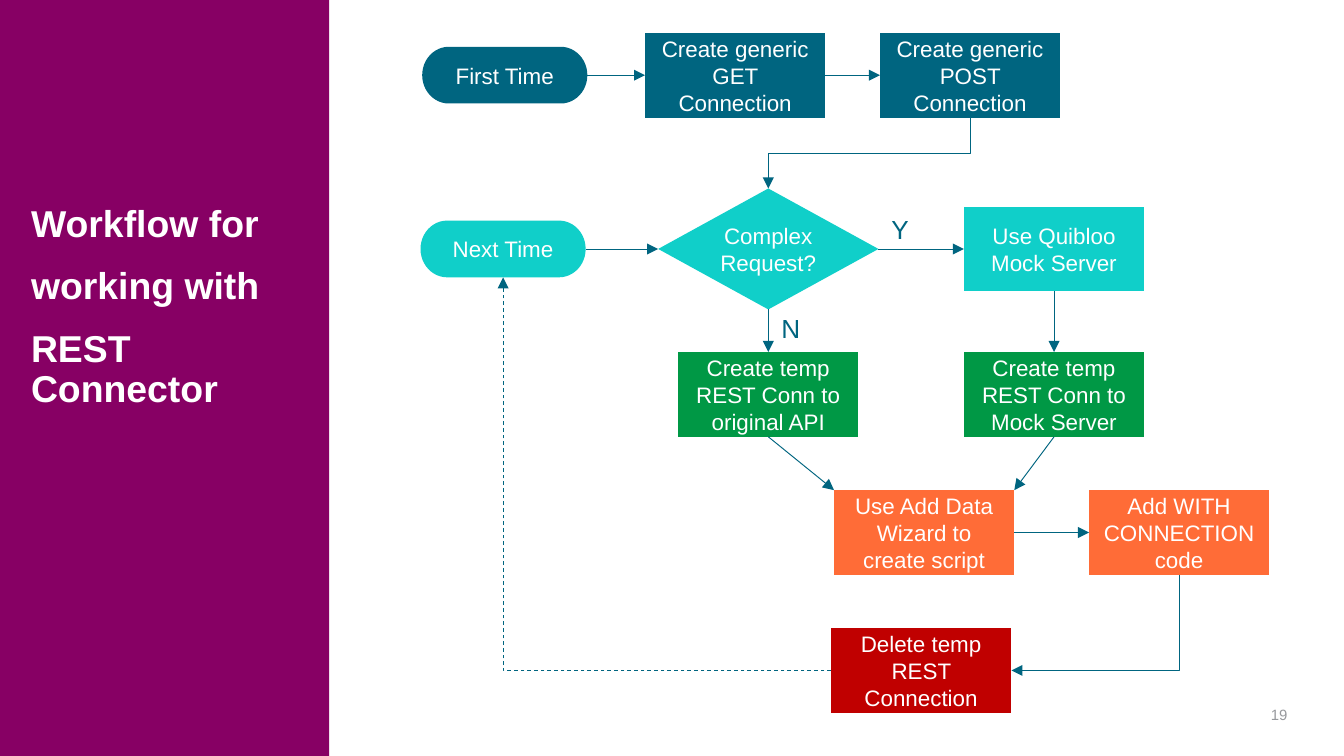
import pptx
import pptx.dml.color
import pptx.enum.dml
import pptx.enum.shapes
import pptx.enum.text
import pptx.oxml.ns
import pptx.util
from lxml import etree

Pt = pptx.util.Pt
RGB = pptx.dml.color.RGBColor
SHAPE = pptx.enum.shapes.MSO_SHAPE
CONNECTOR = pptx.enum.shapes.MSO_CONNECTOR
ALIGN = pptx.enum.text.PP_ALIGN
ANCHOR = pptx.enum.text.MSO_ANCHOR
qn = pptx.oxml.ns.qn

PURPLE = RGB(0x87, 0x00, 0x64)
BLUE = RGB(0x00, 0x65, 0x80)
TEAL = RGB(0x10, 0xCF, 0xC9)
GREEN = RGB(0x00, 0x98, 0x45)
ORANGE = RGB(0xFF, 0x6C, 0x37)
RED = RGB(0xC0, 0x00, 0x00)
GRAY = RGB(0x97, 0x99, 0x9D)
WHITE = RGB(0xFF, 0xFF, 0xFF)

TITLE = ["Workflow for", "working with", "REST Connector"]
PAGE_NUMBER = "19"

KINDS = {
    "terminator": (SHAPE.FLOWCHART_TERMINATOR, 88.5, 30.4, 7.2),
    "process": (SHAPE.FLOWCHART_PROCESS, 96.6, 45.4, 7.2),
    "decision": (SHAPE.FLOWCHART_DECISION, 118, 64.8, 0),
}
STEPS = {
    "first": ("First Time", "terminator", 226.2, 40.3, BLUE),
    "get": ("Create generic GET Connection", "process", 345.6, 40.3, BLUE),
    "post": ("Create generic POST Connection", "process", 471.4, 40.3, BLUE),
    "next": ("Next Time", "terminator", 225.3, 133.4, TEAL),
    "complex": ("Complex Request?", "decision", 352.6, 133.4, TEAL),
    "mock": ("Use Quibloo Mock Server", "process", 516.4, 133.4, TEAL),
    "temp_api": ("Create temp REST Conn to\voriginal API", "process", 363.3, 211.3, GREEN),
    "temp_mock": ("Create temp REST Conn to Mock Server", "process", 516.4, 211.3, GREEN),
    "wizard": ("Use Add Data Wizard to create script", "process", 446.8, 285.3, ORANGE),
    "with": ("Add WITH CONNECTION code", "process", 583.4, 285.3, ORANGE),
    "delete": ("Delete temp REST Connection", "process", 445.2, 359.2, RED),
}
TOP, LEFT, BOTTOM, RIGHT = range(4)
STRAIGHT = [
    ("first", RIGHT, "get", LEFT),
    ("get", RIGHT, "post", LEFT),
    ("next", RIGHT, "complex", LEFT),
    ("complex", RIGHT, "mock", LEFT),
    ("complex", BOTTOM, "temp_api", TOP),
    ("mock", BOTTOM, "temp_mock", TOP),
    ("wizard", RIGHT, "with", LEFT),
]
TO_WIZARD_CORNER = [("temp_api", 0), ("temp_mock", 1)]
ELBOWS = [
    ("post", BOTTOM, "complex", TOP, "bentConnector3", 90, False),
    ("with", BOTTOM, "delete", RIGHT, "bentConnector2", 90, False),
    ("delete", LEFT, "next", BOTTOM, "bentConnector2", 180, True),
]
BRANCHES = [("Y", 470.4, 110.9), ("N", 411.5, 163.6)]


def style_text(frame, size, color, align, bold=False):
    for paragraph in frame.paragraphs:
        paragraph.alignment = align
        for run in paragraph.runs:
            run.font.name = "Arial"
            run.font.size = Pt(size)
            run.font.bold = bold
            run.font.color.rgb = color


def set_insets(frame, left, top, right, bottom):
    frame.margin_left, frame.margin_top = Pt(left), Pt(top)
    frame.margin_right, frame.margin_bottom = Pt(right), Pt(bottom)


def add_block(slide, preset, left, top, width, height, color):
    block = slide.shapes.add_shape(preset, Pt(left), Pt(top), Pt(width), Pt(height))
    block.shadow.inherit = False
    block.fill.solid()
    block.fill.fore_color.rgb = color
    block.line.fill.background()
    return block


def add_label(slide, text, left, top, width, height, size, color, align, bold=False):
    label = slide.shapes.add_textbox(Pt(left), Pt(top), Pt(width), Pt(height))
    label.text_frame.text = text
    style_text(label.text_frame, size, color, align, bold)
    return label.text_frame


def add_step(slide, text, kind, left, middle, color):
    preset, width, height, inset = KINDS[kind]
    step = add_block(slide, preset, left, middle - height / 2, width, height, color)
    frame = step.text_frame
    frame.text = text
    frame.word_wrap = True
    frame.vertical_anchor = ANCHOR.MIDDLE
    set_insets(frame, inset, inset / 2, inset, inset / 2)
    style_text(frame, 12, WHITE, ALIGN.CENTER)
    return step


def site(step, side):
    center, middle = step.left + step.width // 2, step.top + step.height // 2
    return {
        TOP: (center, step.top),
        LEFT: (step.left, middle),
        BOTTOM: (center, step.top + step.height),
        RIGHT: (step.left + step.width, middle),
    }[side]


def add_arrow(slide, kind, start, end, dashed=False):
    arrow = slide.shapes.add_connector(kind, *start, *end)
    arrow.line.color.rgb = BLUE
    arrow.line.width = Pt(0.5)
    if dashed:
        arrow.line.dash_style = pptx.enum.dml.MSO_LINE.DASH
    properties = arrow._element.spPr
    etree.SubElement(properties.find(qn("a:ln")), qn("a:tailEnd"), type="triangle")
    etree.SubElement(properties, qn("a:effectLst"))
    return arrow


def add_elbow(slide, start, end, preset, turn, dashed):
    width, height = abs(end[0] - start[0]), abs(end[1] - start[1])
    if turn == 90:
        width, height = height, width
    left = (start[0] + end[0] - width) // 2
    top = (start[1] + end[1] - height) // 2
    elbow = add_arrow(slide, CONNECTOR.ELBOW, (left, top), (left + width, top + height), dashed)
    properties = elbow._element.spPr
    properties.find(qn("a:xfrm")).set("rot", str(turn * 60000))
    properties.find(qn("a:prstGeom")).set("prst", preset)


def main():
    deck = pptx.Presentation()
    deck.slide_width, deck.slide_height = Pt(720), Pt(405)
    slide = deck.slides.add_slide(deck.slide_layouts[6])

    add_block(slide, SHAPE.RECTANGLE, 0, 0, 176.4, 405, PURPLE)
    number = add_label(slide, PAGE_NUMBER, 676, 374.4, 13.7, 18.7, 8, GRAY, ALIGN.RIGHT)
    set_insets(number, 0, 3.6, 0, 3.6)
    title = add_label(slide, "\n".join(TITLE), 7.2, 0, 164.2, 329.8, 20, WHITE, ALIGN.LEFT, True)
    title.word_wrap = True
    title.vertical_anchor = ANCHOR.MIDDLE
    set_insets(title, 9.4, 3.6, 0, 3.6)
    for paragraph in title.paragraphs:
        paragraph.line_spacing = 0.9
        paragraph.space_after = Pt(12)

    steps = {name: add_step(slide, *step) for name, step in STEPS.items()}

    for source, source_side, target, target_side in STRAIGHT:
        start, end = site(steps[source], source_side), site(steps[target], target_side)
        arrow = add_arrow(slide, CONNECTOR.STRAIGHT, start, end)
        arrow.begin_connect(steps[source], source_side)
        arrow.end_connect(steps[target], target_side)
    wizard = steps["wizard"]
    for source, across in TO_WIZARD_CORNER:
        corner = (wizard.left + across * wizard.width, wizard.top)
        add_arrow(slide, CONNECTOR.STRAIGHT, site(steps[source], BOTTOM), corner)
    for source, source_side, target, target_side, preset, turn, dashed in ELBOWS:
        start, end = site(steps[source], source_side), site(steps[target], target_side)
        add_elbow(slide, start, end, preset, turn, dashed)

    for answer, left, top in BRANCHES:
        add_label(slide, answer, left, top, 24.5, 24.5, 14, BLUE, ALIGN.LEFT)

    deck.save("out.pptx")


if __name__ == "__main__":
    main()
